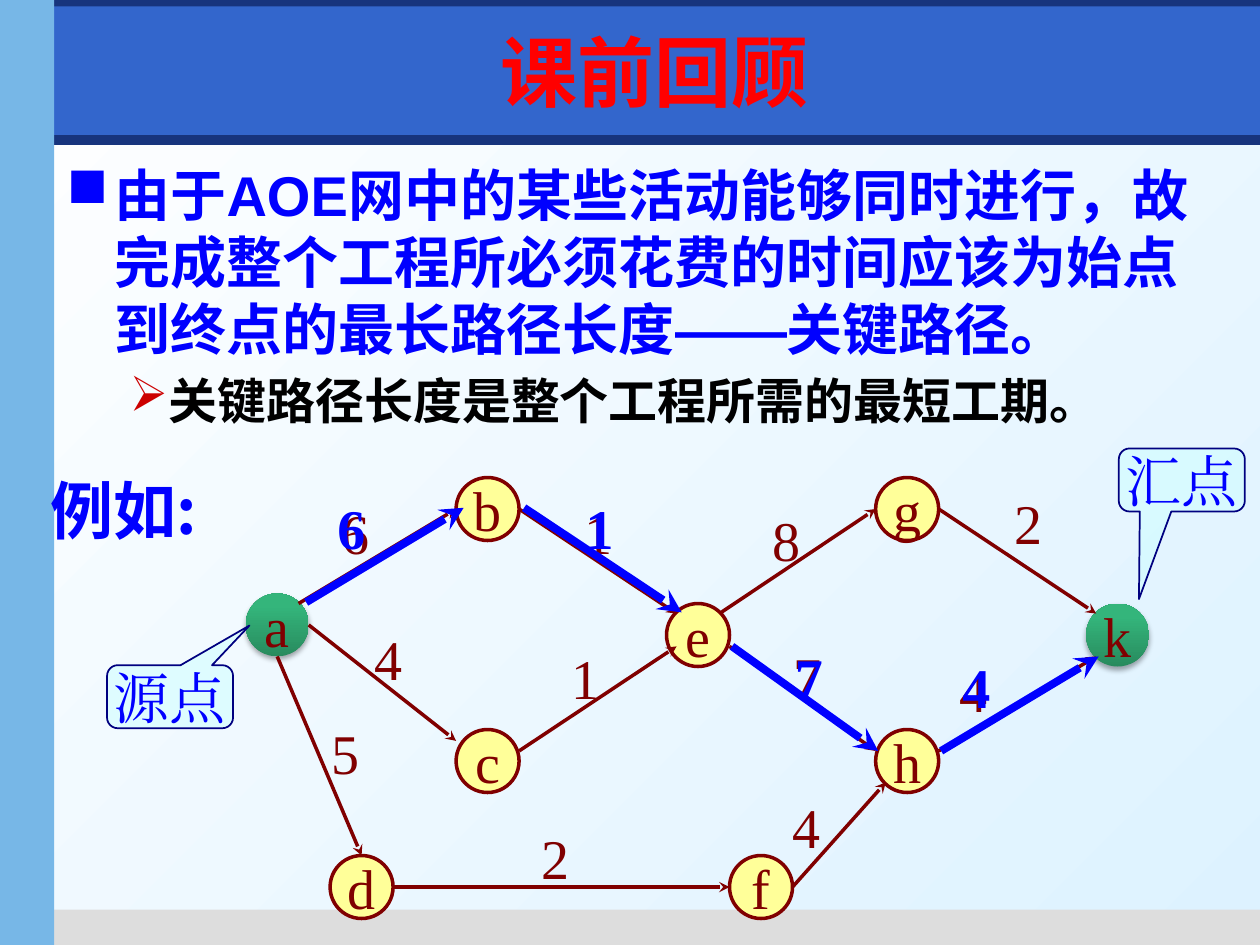
import pptx
import pptx.util
import pptx.dml.color
import pptx.enum.shapes
import pptx.enum.text
import pptx.oxml.ns
from lxml import etree

RGB = pptx.dml.color.RGBColor
SHAPE = pptx.enum.shapes.MSO_SHAPE
ALIGN = pptx.enum.text.PP_ALIGN
ANCHOR = pptx.enum.text.MSO_ANCHOR
qn = pptx.oxml.ns.qn
Pt = pptx.util.Pt

NAVY = RGB(0x17, 0x34, 0x7D)
ROYAL = RGB(0x33, 0x66, 0xCC)
SKY = RGB(0x77, 0xB7, 0xE7)
GRAY = RGB(0xDD, 0xDD, 0xDD)
WHITE = RGB(0xFF, 0xFF, 0xFF)
PALE = RGB(0xDD, 0xF2, 0xFF)
BLACK = RGB(0, 0, 0)
RED = RGB(0xFF, 0, 0)
CRIMSON = RGB(0xCC, 0, 0)
BLUE = RGB(0, 0, 0xFF)
MAROON = RGB(0x80, 0, 0)
YELLOW = RGB(0xFF, 0xFF, 0x99)
GREEN_DARK = RGB(0x28, 0x8B, 0x5E)
GREEN = RGB(0x34, 0xB5, 0x7B)
CYAN = RGB(0xCC, 0xFF, 0xFF)
CALLOUT_LINE = RGB(0, 0, 0x80)
SERIF = "Times New Roman"
R = 25  # node radius

# Node centres in the graph box
NODES = {"a": (25, 117), "b": (192, 25), "c": (192, 225), "d": (92, 325),
         "e": (359, 125), "f": (409, 325), "g": (525, 25), "h": (525, 225),
         "k": (692, 125)}
TERMINALS = "ak"

# Points on a node's rim where edges meet it
RIM = {"N": (0, -R), "S": (0, R), "E": (R, 0), "W": (-R, 0),
       "NE": (17, -17), "NW": (-17, -17), "SW": (-17, 17), "WSW": (-17, 9),
       "ENE": (R, -8), "ESE": (R, 9), "WNW": (-R, -8), "WNW2": (-R, -16)}

# start, rim, end, rim, weight, label position
EDGES = [("a", "NE", "b", "W", "6", (66, 12)),
         ("a", "E", "c", "WNW2", "4", (92, 112)),
         ("c", "ENE", "e", "WSW", "1", (249, 127)),
         ("b", "E", "e", "NW", "1", (259, 12)),
         ("e", "NE", "g", "W", "8", (408, 17)),
         ("g", "E", "k", "NW", "2", (600, 4)),
         ("h", "ENE", "k", "SW", "4", (557, 137)),
         ("e", "ESE", "h", "WNW", "7", (425, 125)),
         ("a", "S", "d", "N", "5", (58, 186)),
         ("d", "E", "f", "W", "2", (225, 270)),
         ("f", "E", "h", "SW", "4", (424, 245))]

# Critical edges: shift of the line and of the weight
CRITICAL = {"ab": ((6, -1), (-3, -4)), "be": ((4, -1), (1, -4)),
            "eh": ((2, 0), (1, 1)), "hk": ((2, 0), (2, -3))}


def px(n):
    return pptx.util.Emu(n * 9144)  # 100 px to the inch


def add(a, b):
    return a[0] + b[0], a[1] + b[1]


def put_text(p, text, size=32, color=MAROON, font=SERIF, bold=False,
             align=None, spacing=None):
    p.alignment = align
    if spacing:
        p.line_spacing = Pt(spacing)
    r = p.add_run()
    r.text = text
    r.font.size, r.font.bold, r.font.name = Pt(size), bold, font
    r.font.color.rgb = color
    etree.SubElement(r._r.get_or_add_rPr(), qn("a:ea"), typeface=font)


def text_box(s, box, text, wrap=False, anchor=ANCHOR.TOP, **fmt):
    tf = s.shapes.add_textbox(*map(px, box)).text_frame
    tf.word_wrap, tf.vertical_anchor = wrap, anchor
    put_text(tf.paragraphs[0], text, **fmt)


def shape(s, kind, box, fill=None, line=None, width=1):
    sp = s.shapes.add_shape(kind, *map(px, box))
    sp.shadow.inherit = False
    if fill is not None:
        sp.fill.solid()
        sp.fill.fore_color.rgb = fill
    if line is None:
        sp.line.fill.background()
    else:
        sp.line.color.rgb, sp.line.width = line, Pt(width)
    return sp


def shape_text(sp, text, **fmt):
    tf = sp.text_frame
    tf.word_wrap, tf.vertical_anchor = False, ANCHOR.MIDDLE
    put_text(tf.paragraphs[0], text, align=ALIGN.CENTER, **fmt)


def gradient(fill, angle, first, last, end=1.0):
    fill.gradient()
    fill.gradient_angle = angle
    stops = fill.gradient_stops
    stops[0].color.rgb, stops[1].color.rgb = first, last
    stops[0].position, stops[1].position = 0, end


def arrow(s, start, end, color, width):
    c = s.shapes.add_connector(pptx.enum.shapes.MSO_CONNECTOR.STRAIGHT,
                               *map(px, start + end))
    c.line.color.rgb, c.line.width = color, Pt(width)
    etree.SubElement(c.line._get_or_add_ln(), qn("a:tailEnd"), type="stealth")
    etree.SubElement(c._element.spPr, qn("a:effectLst"))


def node(s, center, name):
    box = (center[0] - R, center[1] - R, 2 * R, 2 * R)
    if name in TERMINALS:
        sp = shape(s, SHAPE.OVAL, box)
        gradient(sp.fill, 90, GREEN_DARK, GREEN, 0.8)
        effects = sp._element.spPr.find(qn("a:effectLst"))
        shadow = etree.SubElement(effects, qn("a:outerShdw"), blurRad="39370",
                                  dist="22860", dir="5400000", rotWithShape="0")
        clr = etree.SubElement(shadow, qn("a:srgbClr"), val="000000")
        etree.SubElement(clr, qn("a:alpha"), val="35000")
    else:
        sp = shape(s, SHAPE.OVAL, box, YELLOW, MAROON, 2)
    shape_text(sp, name)


def graph(s, x, y):
    at = {n: add((x, y), c) for n, c in NODES.items()}
    for name, center in at.items():
        node(s, center, name)
    critical = []
    for a, rim_a, b, rim_b, weight, label in EDGES:
        start, end = add(at[a], RIM[rim_a]), add(at[b], RIM[rim_b])
        pos = add((x, y), label)
        arrow(s, start, end, MAROON, 2)
        text_box(s, pos + (42, 63), weight)
        if a + b in CRITICAL:
            critical.append((start, end, weight, pos, *CRITICAL[a + b]))
    # Critical path on top
    for start, end, weight, pos, shift, label_shift in critical:
        arrow(s, add(start, shift), add(end, shift), BLUE, 4.5)
        text_box(s, add(pos, label_shift) + (42, 63), weight,
                 color=BLUE, bold=True)


def callout(s, box, text, tip):
    sp = shape(s, SHAPE.ROUNDED_RECTANGULAR_CALLOUT, box, CYAN, CALLOUT_LINE)
    for i, value in enumerate(tip + (0.17,)):
        sp.adjustments[i] = value
    clr = sp._element.spPr.find(qn("a:solidFill")).find(qn("a:srgbClr"))
    etree.SubElement(clr, qn("a:alpha"), val="50000")
    shape_text(sp, text, color=BLUE)


def backdrop(s, w, h):
    gradient(s.background.fill, 315, WHITE, PALE)
    for box, color in [((4, 107, w - 4, 8), NAVY),
                       ((35, h - 28, w - 35, 28), GRAY),
                       ((0, 0, w, 21), NAVY),
                       ((43, 5, w - 43, 102), ROYAL),
                       ((0, 0, 43, h), SKY)]:
        shape(s, SHAPE.RECTANGLE, box, color)


def body(s, box):
    tf = s.shapes.add_textbox(*map(px, box)).text_frame
    tf.word_wrap = True
    items = [("由于AOE网中的某些活动能够同时进行，故完成整个工程所必须花费的时间应该为始点到终点的最长路径长度——关键路径。",
              "■", BLUE, BLUE, 32, 38.3, 38, 38, 0),
             ("关键路径长度是整个工程所需的最短工期。",
              "➢", CRIMSON, BLACK, 28, 33.5, 81, 31, 5)]
    for i, (text, bullet, mark, color, size, pitch, left, hang, gap) in enumerate(items):
        p = tf.add_paragraph() if i else tf.paragraphs[0]
        p.space_before = Pt(gap)
        pPr = p._p.get_or_add_pPr()
        pPr.set("marL", str(px(left)))
        pPr.set("indent", str(-px(hang)))
        clr = etree.SubElement(pPr, qn("a:buClr"))
        etree.SubElement(clr, qn("a:srgbClr"), val=str(mark))
        etree.SubElement(pPr, qn("a:buChar"), char=bullet)
        put_text(p, text, size=size, color=color, font="Arial", bold=True,
                 spacing=pitch)


def main():
    prs = pptx.Presentation()
    prs.slide_width, prs.slide_height = px(1000), px(750)
    s = prs.slides.add_slide(prs.slide_layouts[6])
    backdrop(s, 1000, 750)
    body(s, (43, 123, 937, 590))
    graph(s, 195, 379)
    text_box(s, (30, 364, 146, 70), "例如:", size=36, color=BLUE,
             font="Noto Sans CJK SC", bold=True, spacing=47)
    callout(s, (85, 528, 100, 50), "源点", (0.63, -1.13))
    callout(s, (888, 356, 100, 50), "汇点", (-0.34, 1.89))
    text_box(s, (59, 13, 921, 87), "课前回顾", wrap=True, anchor=ANCHOR.MIDDLE,
             size=44, color=RED, font="DejaVu Sans", bold=True,
             align=ALIGN.CENTER)
    prs.save("out.pptx")


if __name__ == "__main__":
    main()
